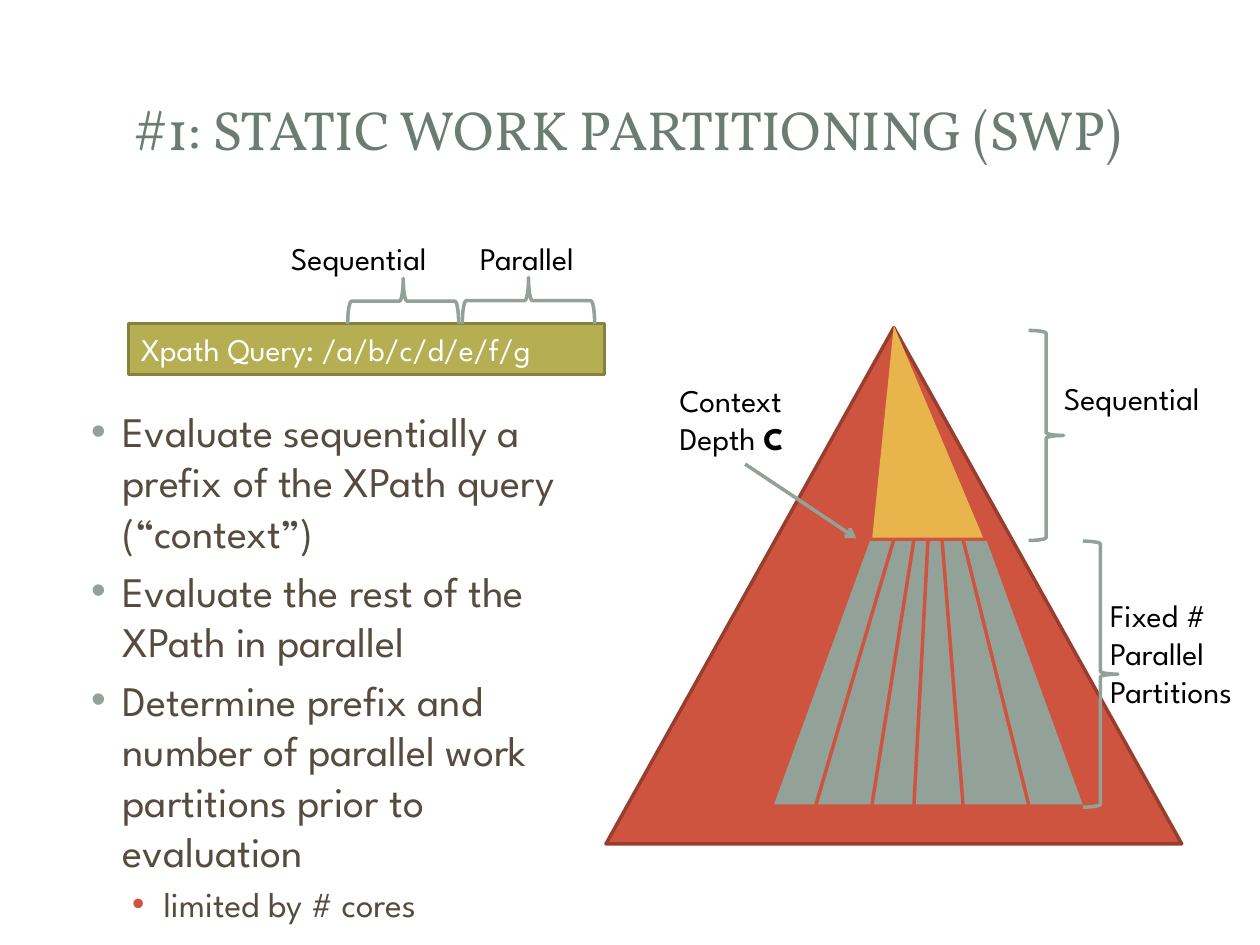
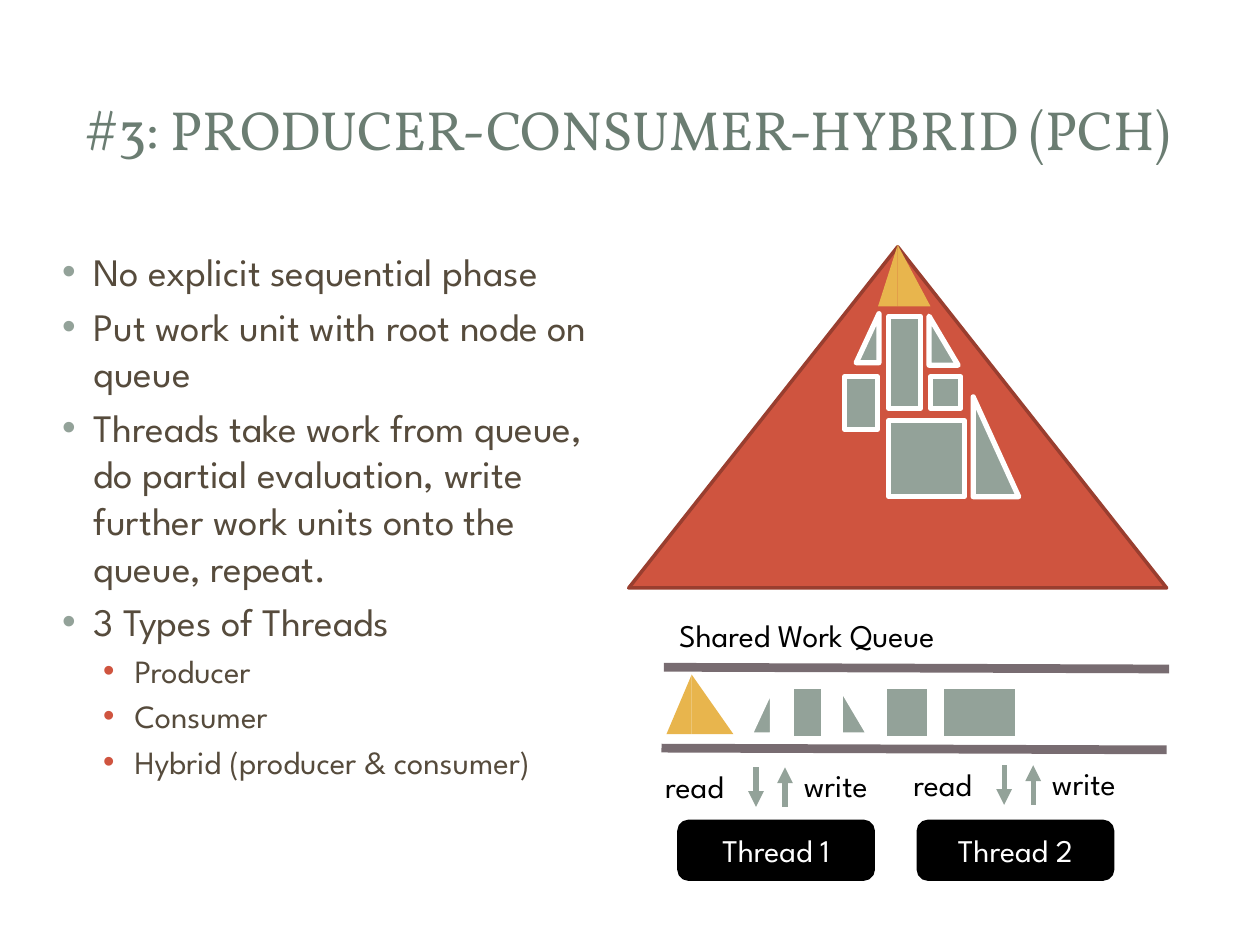
import pptx
import pptx.dml.color
import pptx.enum.shapes
import pptx.enum.text
import pptx.oxml.xmlchemy
import pptx.util

Pt = pptx.util.Pt
SHAPES = pptx.enum.shapes.MSO_SHAPE
ALIGN = pptx.enum.text.PP_ALIGN
ANCHOR = pptx.enum.text.MSO_ANCHOR

COLORS = {
    "title": "6B7D72", "body": "564B3C", "black": "000000", "white": "FFFFFF",
    "sage": "93A299", "red": "CF543F", "dark_red": "993E2F", "gold": "E8B54D",
    "olive": "B5AE53", "dark_olive": "86813D", "rail": "786C71",
}
TITLE_FONT, TEXT_FONT = "Vollkorn", "League Spartan"
TITLE_BOX = (34, 32.5, 650, 82)
LABEL_HEIGHT = 29


def rgb(name):
    return pptx.dml.color.RGBColor.from_string(COLORS[name])


def add_xml(parent, tag, **attributes):
    element = pptx.oxml.xmlchemy.OxmlElement(tag)
    for key, value in attributes.items():
        element.set(key, value)
    parent.append(element)


def add_run(paragraph, text, size=18, color="black", font=TEXT_FONT, bold=None):
    run = paragraph.add_run()
    run.text = text
    run.font.size = Pt(size)
    run.font.name = font
    run.font.bold = bold
    run.font.color.rgb = rgb(color)


def write_text(frame, lines, align=ALIGN.LEFT, anchor=ANCHOR.TOP, **run_format):
    frame.clear()
    frame.word_wrap = True
    frame.vertical_anchor = anchor
    for index, line in enumerate(lines):
        paragraph = frame.add_paragraph() if index else frame.paragraphs[0]
        paragraph.alignment = align
        add_run(paragraph, line, **run_format)


def add_label(slide, box, *lines):
    frame = slide.shapes.add_textbox(*map(Pt, box)).text_frame
    write_text(frame, lines)
    return frame


def add_bullets(slide, box, items, sizes):
    """Write (level, text) items; sizes holds the text size of each level."""
    frame = slide.shapes.add_textbox(*map(Pt, box)).text_frame
    frame.word_wrap = True
    for index, (level, text) in enumerate(items):
        paragraph = frame.add_paragraph() if index else frame.paragraphs[0]
        paragraph.level = level
        properties = paragraph._p.get_or_add_pPr()
        properties.set("marL", str(Pt((27, 50.4)[level])))
        properties.set("indent", str(Pt(-18)))
        paragraph.space_before = Pt(0.2 * sizes[level] if index else 0)
        add_xml(properties, "a:buClr")
        add_xml(properties[-1], "a:srgbClr", val=COLORS[("sage", "red")[level]])
        add_xml(properties, "a:buFont", typeface="Arial")
        add_xml(properties, "a:buChar", char="•")
        add_run(paragraph, text, size=sizes[level], color="body")


def add_shape(slide, kind, box, fill=None, line=None, width=2, rotation=0, flip=False):
    shape = slide.shapes.add_shape(kind, *map(Pt, box))
    shape.shadow.inherit = False
    shape.rotation = rotation
    if flip:
        shape.element.spPr.xfrm.set("flipH", "1")
    if fill:
        shape.fill.solid()
        shape.fill.fore_color.rgb = rgb(fill)
    else:
        shape.fill.background()
    if line:
        shape.line.color.rgb = rgb(line)
        shape.line.width = Pt(width)
    else:
        shape.line.fill.background()
    return shape


def add_line(slide, start, end, color, width=2, arrow=None):
    connector = slide.shapes.add_connector(
        pptx.enum.shapes.MSO_CONNECTOR.STRAIGHT, *map(Pt, (*start, *end)))
    connector.line.color.rgb = rgb(color)
    connector.line.width = Pt(width)
    if arrow:
        add_xml(connector.line._get_or_add_ln(), "a:tailEnd", type=arrow)
    add_xml(connector._element.spPr, "a:effectLst")


def add_brace(slide, box, rotation):
    add_shape(slide, SHAPES.LEFT_BRACE, box, line="sage", rotation=rotation)


def add_tree(slide, box):
    add_shape(slide, SHAPES.ISOSCELES_TRIANGLE, box, "red", "dark_red")


def add_cone(slide, apex, top, left_width, right_width, height):
    """Draw a gold triangle as two right triangles that meet below the apex."""
    add_shape(slide, SHAPES.RIGHT_TRIANGLE, (apex, top, right_width, height), "gold")
    add_shape(slide, SHAPES.RIGHT_TRIANGLE,
              (apex - left_width, top, left_width, height), "gold", flip=True)


def add_work_units(slide, left, top, units):
    """Draw (kind, x, y, width, height) units; kind is box, rising or falling."""
    for kind, x, y, width, height in units:
        add_shape(slide, SHAPES.RECTANGLE if kind == "box" else SHAPES.RIGHT_TRIANGLE,
                  (left + x, top + y, width, height), "sage", "white", 3,
                  flip=kind == "rising")


def add_titled_slide(presentation, title):
    slide = presentation.slides.add_slide(presentation.slide_layouts[5])
    placeholder = slide.shapes.title
    placeholder.left, placeholder.top, placeholder.width, placeholder.height = map(Pt, TITLE_BOX)
    write_text(placeholder.text_frame, [title], align=ALIGN.CENTER, anchor=ANCHOR.MIDDLE,
               size=31.5, color="title", font=TITLE_FONT)
    return slide


def draw_query(slide, left, top, width):
    bar = add_shape(slide, SHAPES.RECTANGLE, (left, top, width, LABEL_HEIGHT),
                    "olive", "dark_olive")
    write_text(bar.text_frame, ["Xpath Query: /a/b/c/d/e/f/g"], color="white")
    add_brace(slide, (left + 144, top - 44.6, 26, 63.4), 90)
    add_brace(slide, (left + 215.3, top - 51, 26.6, 75.6), 90)
    add_label(slide, (left + 85.7, top - 52, 107, LABEL_HEIGHT), "Sequential")
    add_label(slide, (left + 193.7, top - 52, 79, LABEL_HEIGHT), "Parallel")


def draw_partitioned_tree(slide, left, top, width, height):
    split, bottom = top + 121, top + 272.5
    add_tree(slide, (left, top, width, height))
    add_cone(slide, left + 164.5, top - 1, 12.3, 51, 121)
    partitions = add_shape(slide, SHAPES.TRAPEZOID, (left + 96, split + 1, 176.4, 150.5), "sage")
    partitions.adjustments[0] = 0.364
    add_brace(slide, (left + 241.5, top + 1.6, 20, 120), 180)
    add_label(slide, (left + 254.5, top + 26, 107, LABEL_HEIGHT), "Sequential")
    add_label(slide, (left + 281, top + 150, 93, 73), "Fixed #", "Parallel", "Partitions")
    add_brace(slide, (left + 272.5, split + 1, 20, 152), 180)
    for upper, lower in ((164.5, 120), (176, 152), (184, 176), (192, 204), (204, 241.5)):
        add_line(slide, (left + upper, split), (left + lower, bottom), "red")
    context = add_label(slide, (left + 35, top + 27, 89, 51), "Context", "Depth ")
    add_run(context.paragraphs[-1], "C", bold=True)
    add_line(slide, (left + 79.5, top + 78), (left + 143, top + 120.4), "sage", arrow="arrow")


def draw_work_tree(slide, left, top, width, height):
    add_tree(slide, (left, top, width, height))
    add_cone(slide, left + 153.7, top - 1, 11.2, 18.7, 35)
    add_work_units(slide, left, top, [
        ("rising", 130, 38.3, 13, 28),
        ("box", 148.6, 39.7, 18, 52.6),
        ("falling", 171.6, 39.7, 16.6, 28),
        ("box", 123.4, 74.3, 18.7, 30.2),
        ("box", 172.4, 74.3, 17.3, 18),
        ("box", 148.6, 99.5, 43.2, 43.2),
        ("falling", 196.8, 85.8, 26, 57),
    ])


def draw_work_queue(slide, left, top, width):
    add_label(slide, (left + 3, top, 191.5, LABEL_HEIGHT), "Shared Work Queue")
    for x, y in ((1.4, 33), (0, 79.2)):
        add_line(slide, (left + x, top + y), (left + x + width, top + y + 1), "rail", 5)
    add_cone(slide, left + 17.3, top + 37.2, 14.4, 23.8, 34)
    add_work_units(slide, left, top + 43.7, [
        ("rising", 50.4, 0, 13, 28),
        ("box", 74.2, 0, 18.7, 30.2),
        ("falling", 102.2, 0, 16.6, 28),
        ("box", 127.4, 0, 26, 30.2),
        ("box", 159.8, 0, 44, 30.2),
    ])


def draw_thread(slide, name, box, left, top):
    """Draw a thread box, and its read and write signals from left and top."""
    thread = add_shape(slide, SHAPES.ROUNDED_RECTANGLE, box, "black", "black")
    write_text(thread.text_frame, [name], align=ALIGN.CENTER, anchor=ANCHOR.MIDDLE, color="white")
    upper, lower = top + 3.6, top + 26.2
    add_label(slide, (left, top, 57, LABEL_HEIGHT), "read")
    add_line(slide, (left + 59, upper), (left + 59, lower), "sage", 3, "triangle")
    add_line(slide, (left + 75.6, lower), (left + 75.6, upper), "sage", 3, "triangle")
    add_label(slide, (left + 79.2, top - 0.7, 57, LABEL_HEIGHT), "write")


def build_static_slide(presentation):
    slide = add_titled_slide(presentation, "#1: STATIC WORK PARTITIONING (SWP)")
    add_bullets(slide, (36, 228.2, 319, 292), [
        (0, "Evaluate sequentially a prefix of the XPath query (“context”)"),
        (0, "Evaluate the rest of the XPath in parallel"),
        (0, "Determine prefix and number of parallel work partitions prior to evaluation"),
        (1, "limited by # cores"),
    ], (24, 20))
    draw_query(slide, 73.4, 185, 272)
    draw_partitioned_tree(slide, 346.3, 187.2, 329, 295)


def build_hybrid_slide(presentation):
    slide = add_titled_slide(presentation, "#3: PRODUCER-CONSUMER-HYBRID (PCH)")
    add_bullets(slide, (19.4, 138.2, 345, 380), [
        (0, "No explicit sequential phase"),
        (0, "Put work unit with root node on queue"),
        (0, "Threads take work from queue, do partial evaluation, "
            "write further work units onto the queue, repeat."),
        (0, "3 Types of Threads"),
        (1, "Producer"),
        (1, "Consumer"),
        (1, "Hybrid (producer & consumer)"),
    ], (22.2, 18.5))
    draw_work_tree(slide, 359.3, 141, 307.4, 195)
    draw_work_queue(slide, 378, 348.3, 288.7)
    draw_thread(slide, "Thread 1", (388, 469.4, 111, 33), 373, 434.9)
    draw_thread(slide, "Thread 2", (524.8, 469.4, 111, 33), 514.8, 433.7)


def main():
    presentation = pptx.Presentation()
    presentation.slide_width, presentation.slide_height = Pt(720), Pt(540)
    build_static_slide(presentation)
    build_hybrid_slide(presentation)
    presentation.save("out.pptx")


if __name__ == "__main__":
    main()
